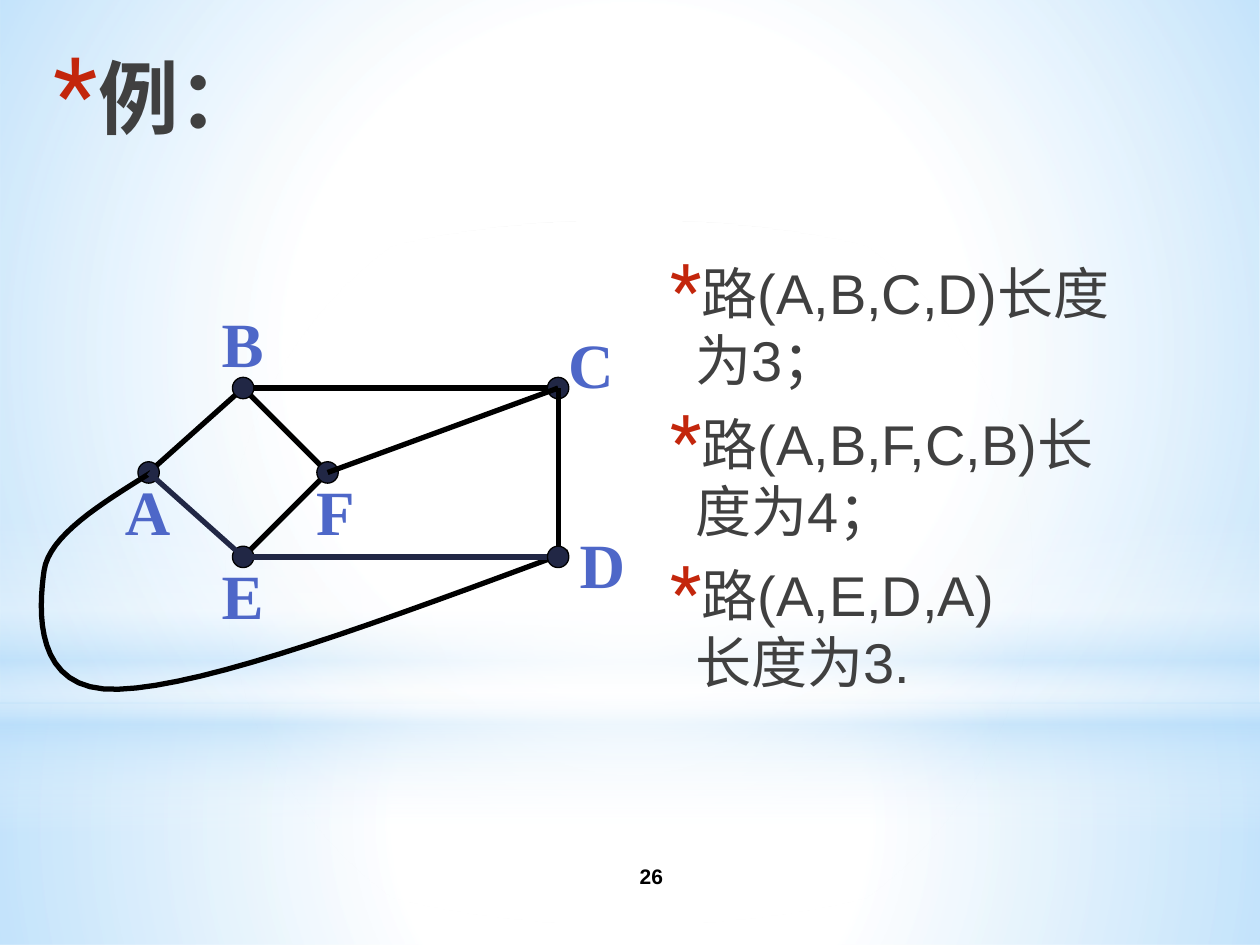
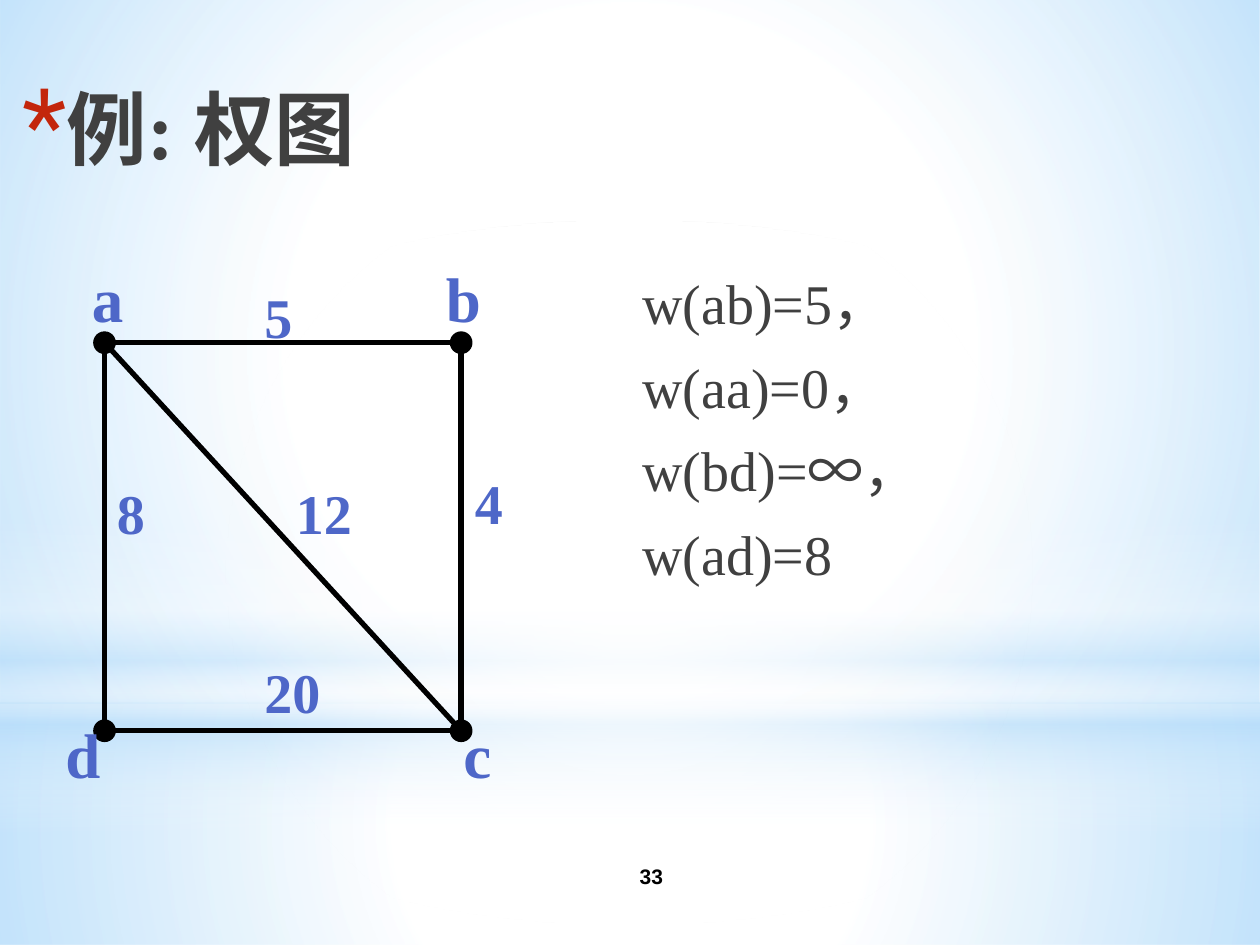
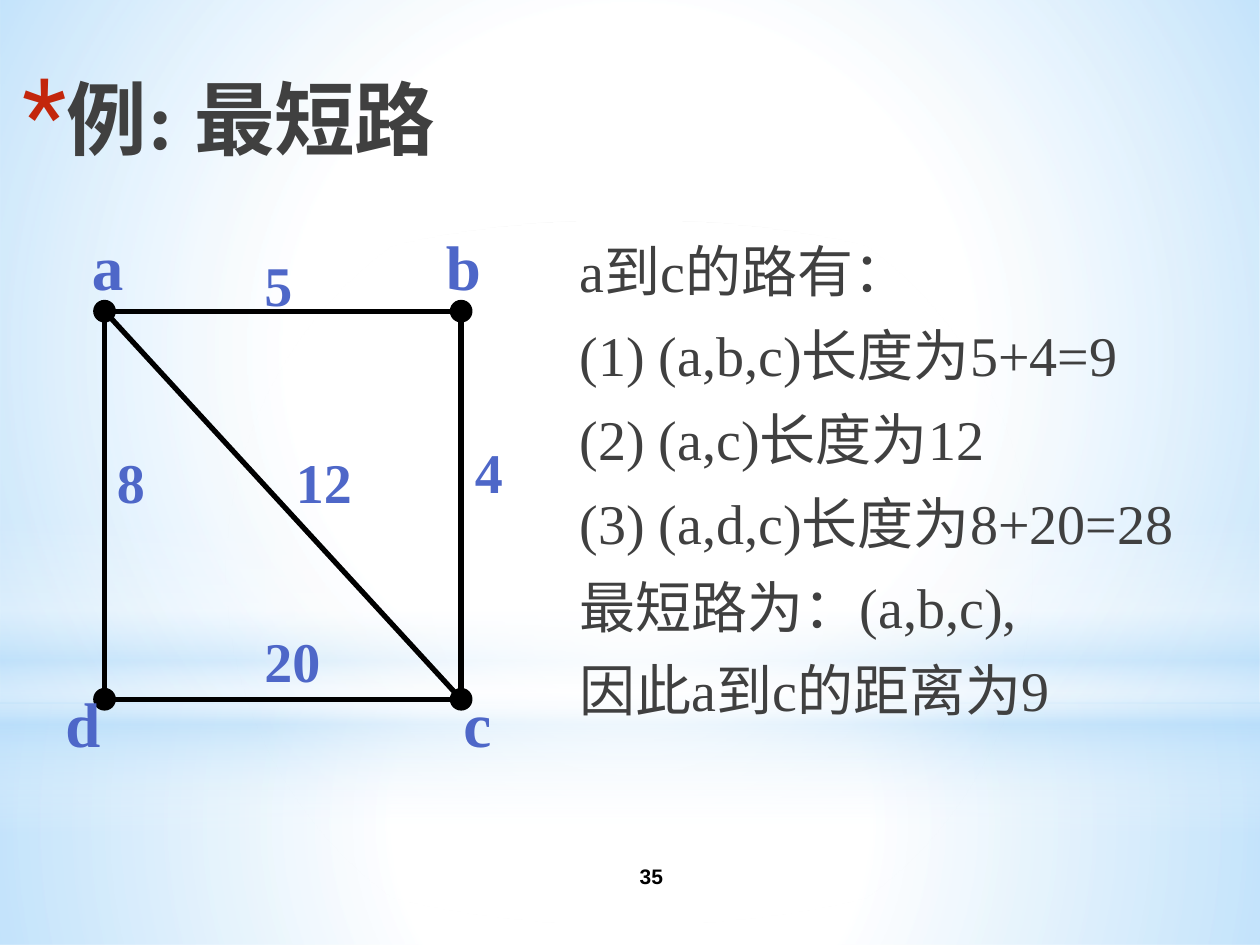
from dataclasses import dataclass
from itertools import groupby

from lxml import etree
from pptx import Presentation
from pptx import util as u
from pptx.dml import color
from pptx.enum import shapes, text
from pptx.oxml import ns, parse_xml


@dataclass(frozen=True)
class Theme:
    white: str = "FFFFFF"
    sky: str = "B4DCFA"
    ink: str = "404040"
    black: str = "000000"
    navy: str = "212745"
    blue: str = "4E67C8"
    red: str = "C3260C"
    serif: str = "Times New Roman"
    sans: str = "Arial"
    head: str = "Roboto"
    han: str = "Noto Sans CJK SC"
    title: int = 46
    label: int = 36
    body: int = 32
    page: int = 12


T = Theme()
DOT = 0.17
OVAL = shapes.MSO_SHAPE.OVAL
RECT = shapes.MSO_SHAPE.RECTANGLE
BANDS = [
    (RECT, (0, 5.58, 10, 1.92), False,
     [(0, T.white, 91), (37, T.white, 76), (100, T.sky, 79)]),
    (RECT, (0, 0, 10, 5.58), False,
     [(0, T.white, 89), (48, T.white, 62), (100, T.sky, 79)]),
    (RECT, (0, 4.12, 10, 2.5), True,
     [(0, T.white, 0), (29, T.white, 30), (45, T.sky, 40),
      (55, T.white, 26), (65, T.sky, 60), (100, T.white, 0)]),
    (OVAL, (0, 1.75, 10, 5.58), False,
     [(0, T.white, 100), (56, T.white, 0)]),
]


def inch(*nums):
    return [u.Inches(n) for n in nums]


def rgb(code):
    return color.RGBColor.from_string(code)


def assign(item, **vals):
    for key, val in vals.items():
        setattr(item, key, val)


def bezier(start, curves, steps=16):
    points = [start]
    for one, two, end in curves:
        first = points[-1]
        for i in range(1, steps + 1):
            t = i / steps
            s = 1 - t
            points.append(tuple(
                s**3 * a + 3 * s * s * t * b + 3 * s * t * t * c + t**3 * d
                for a, b, c, d in zip(first, one, two, end)))
    return points


class Deck:
    def __init__(self):
        self.show = Presentation()
        assign(self.show, slide_width=u.Inches(10), slide_height=u.Inches(7.5))

    def page(self, num):
        self.slide = self.show.slides.add_slide(self.show.slide_layouts[6])
        self.pen = self.slide.shapes
        for band in BANDS:
            self.band(*band)
        self.prose((4.17, 6.75, 2, 0.4), [str(num)], T.sans, T.page, T.black,
                   bold=True, align=text.PP_ALIGN.CENTER,
                   frame={"vertical_anchor": text.MSO_ANCHOR.MIDDLE})

    def shape(self, kind, box, fill=None, line=None, width=0.75):
        item = self.pen.add_shape(kind, *inch(*box))
        self.style(item, fill, line, width)
        return item

    def style(self, item, fill, line, width):
        item.shadow.inherit = False
        if fill:
            item.fill.solid()
            item.fill.fore_color.rgb = rgb(fill)
        else:
            item.fill.background()
        if line:
            item.line.color.rgb = rgb(line)
            item.line.width = u.Pt(width)
        else:
            item.line.fill.background()

    def band(self, kind, box, down, stops):
        item = self.shape(kind, box)
        marks = "".join(
            f'<a:gs pos="{pos * 1000}"><a:srgbClr val="{tint}">'
            f'<a:alpha val="{alpha * 1000}"/></a:srgbClr></a:gs>'
            for pos, tint, alpha in stops)
        flow = ('<a:lin ang="5400000" scaled="0"/>' if down else
                '<a:path path="circle"><a:fillToRect l="50000" t="50000" '
                'r="50000" b="50000"/></a:path>')
        grad = parse_xml(f'<a:gradFill {ns.nsdecls("a")} rotWithShape="1">'
                         f'<a:gsLst>{marks}</a:gsLst>{flow}</a:gradFill>')
        props = item.element.spPr
        props.replace(props.find(ns.qn("a:noFill")), grad)

    def prose(self, box, lines, font, size, tint, bold=False, align=None,
              gap=(0, 0), indent=(0, 0), star=None, frame=None):
        body = self.pen.add_textbox(*inch(*box)).text_frame
        assign(body, **{"word_wrap": True, **(frame or {})})
        for i, line in enumerate(lines):
            para = body.paragraphs[0] if i == 0 else body.add_paragraph()
            self.indent(para, indent, star)
            assign(para, alignment=align, space_after=u.Pt(gap[1]),
                   space_before=u.Pt(gap[0] if i else 0))
            for wide, part in groupby(line, lambda c: c in "∞，"):
                for j, piece in enumerate("".join(part).split("\n")):
                    if j:
                        para.add_line_break()
                    run = para.add_run()
                    run.text = piece
                    assign(run.font, name=T.han if wide else font,
                           size=u.Pt(size), bold=bold)
                    run.font.color.rgb = rgb(tint)

    def indent(self, para, indent, star):
        props = para._p.get_or_add_pPr()
        for key, val in zip(("marL", "indent"), inch(*indent)):
            props.set(key, str(val))
        if star:
            tint = etree.SubElement(props, ns.qn("a:buClr"))
            for parent, tag, key, val in (
                    (tint, "srgbClr", "val", T.red),
                    (props, "buSzPct", "val", str(star * 1000)),
                    (props, "buFont", "typeface", T.head),
                    (props, "buChar", "char", "*")):
                etree.SubElement(parent, ns.qn(f"a:{tag}")).set(key, val)

    def title(self, box, words, font=T.serif):
        self.prose(box, [words], font, T.title, T.ink, bold=True,
                   indent=(0.35, -0.35), star=128)

    def body(self, box, lines, font=T.serif, **opts):
        self.prose(box, lines, font, T.body, T.ink, gap=(6.5, 3), **opts)

    def label(self, box, word, size=T.label, inset=True):
        frame = {"word_wrap": False}
        if not inset:
            frame.update({f"margin_{side}": 0
                          for side in ("left", "top", "right", "bottom")})
        self.prose(box, [word], T.serif, size, T.blue, bold=True, frame=frame)

    def edge(self, start, end, tint=T.black):
        item = self.pen.add_connector(shapes.MSO_CONNECTOR.STRAIGHT,
                                      *inch(*start, *end))
        item.line.color.rgb = rgb(tint)
        item.line.width = u.Pt(3)
        etree.SubElement(item.element.spPr, ns.qn("a:effectLst"))

    def node(self, spot, fill):
        x, y = spot
        self.shape(OVAL, (x - DOT / 2, y - DOT / 2, DOT, DOT), fill, T.black)

    def curve(self, points):
        first, *rest = [inch(*spot) for spot in points]
        arc = self.pen.build_freeform(*first)
        arc.add_line_segments(rest, close=False)
        self.style(arc.convert_to_shape(), None, T.black, 3)

    def square(self, top):
        left, wide, high = 0.83, 2.83, 3.08
        right, low = left + wide, top + high
        self.shape(RECT, (left, top, wide, high), line=T.black, width=3)
        self.edge((left, top), (right, low))
        for x in (left, right):
            for y in (top, low):
                self.node((x, y), T.black)
        for word, x, y, w in (("a", 0.63, -0.71, 0.45), ("b", 3.44, -0.71, 0.48),
                              ("c", 3.58, 2.91, 0.42), ("d", 0.42, 2.91, 0.48)):
            self.label((x, top + y, w, 0.7), word)
        for word, x, y in (("5", 2, -0.53), ("12", 2.25, 1.03), ("4", 3.67, 0.95),
                           ("8", 0.83, 1.03), ("20", 2, 2.45)):
            wide = 0.65 if len(word) > 1 else 0.42
            self.label((x, top + y, wide, 0.63), word, T.body)


def paths(deck):
    deck.page(26)
    deck.title((0.33, 0.33, 7.12, 1.25), "例：", T.head)
    deck.body((5.17, 2, 3.75, 4.08),
              ["路(A,B,C,D)长度为3；", "路(A,B,F,C,B)长度为4；",
               "路(A,E,D,A)\n长度为3."],
              T.sans, indent=(0.25, -0.2), star=130)
    spots = {"A": (1.18, 3.75), "B": (1.93, 3.08), "C": (4.43, 3.08),
             "D": (4.43, 4.42), "E": (1.93, 4.42), "F": (2.6, 3.75)}
    for one, two in ("FE", "CB", "BF", "BA"):
        deck.edge(spots[one], spots[two])
    for name in "AFEBC":
        deck.node(spots[name], T.navy)
    deck.curve(bezier((1.2, 3.75), [
        ((0.8, 4), (0.39, 4.25), (0.35, 4.53)),
        ((0.31, 4.82), (0.25, 5.5), (0.94, 5.47)),
        ((1.64, 5.45), (3.08, 4.91), (4.51, 4.38))]))
    for (one, two), tint in (("AE", T.navy), ("ED", T.navy),
                             ("CD", T.black), ("FC", T.black)):
        deck.edge(spots[one], spots[two], tint)
    deck.node(spots["D"], T.navy)
    for name, x, y in (("A", 0.99, 3.75), ("E", 1.76, 4.42), ("B", 1.76, 2.42),
                       ("F", 2.51, 3.75), ("C", 4.51, 2.58), ("D", 4.6, 4.17)):
        deck.label((x, y, 0.35, 0.6), name, inset=False)


def weights(deck):
    deck.page(33)
    deck.title((0.08, 0.58, 8.92, 0.83), "例: 权图")
    deck.body((5, 2.08, 3.17, 4.42),
              ["w(ab)=5，", "w(aa)=0，", "w(bd)=∞，", "w(ad)=8"])
    deck.square(2.72)


def shortest(deck):
    deck.page(35)
    deck.title((0.08, 0.5, 8.92, 0.83), "例: 最短路")
    deck.body((4.5, 1.83, 5.42, 4.58),
              ["a到c的路有：", "(1) (a,b,c)长度为5+4=9", "(2) (a,c)长度为12",
               "(3) (a,d,c)长度为8+20=28", "最短路为：(a,b,c),",
               "因此a到c的距离为9"],
              indent=(0.67, -0.67))
    deck.square(2.47)


def main():
    deck = Deck()
    for build in (paths, weights, shortest):
        build(deck)
    deck.show.save("out.pptx")


if __name__ == "__main__":
    main()
